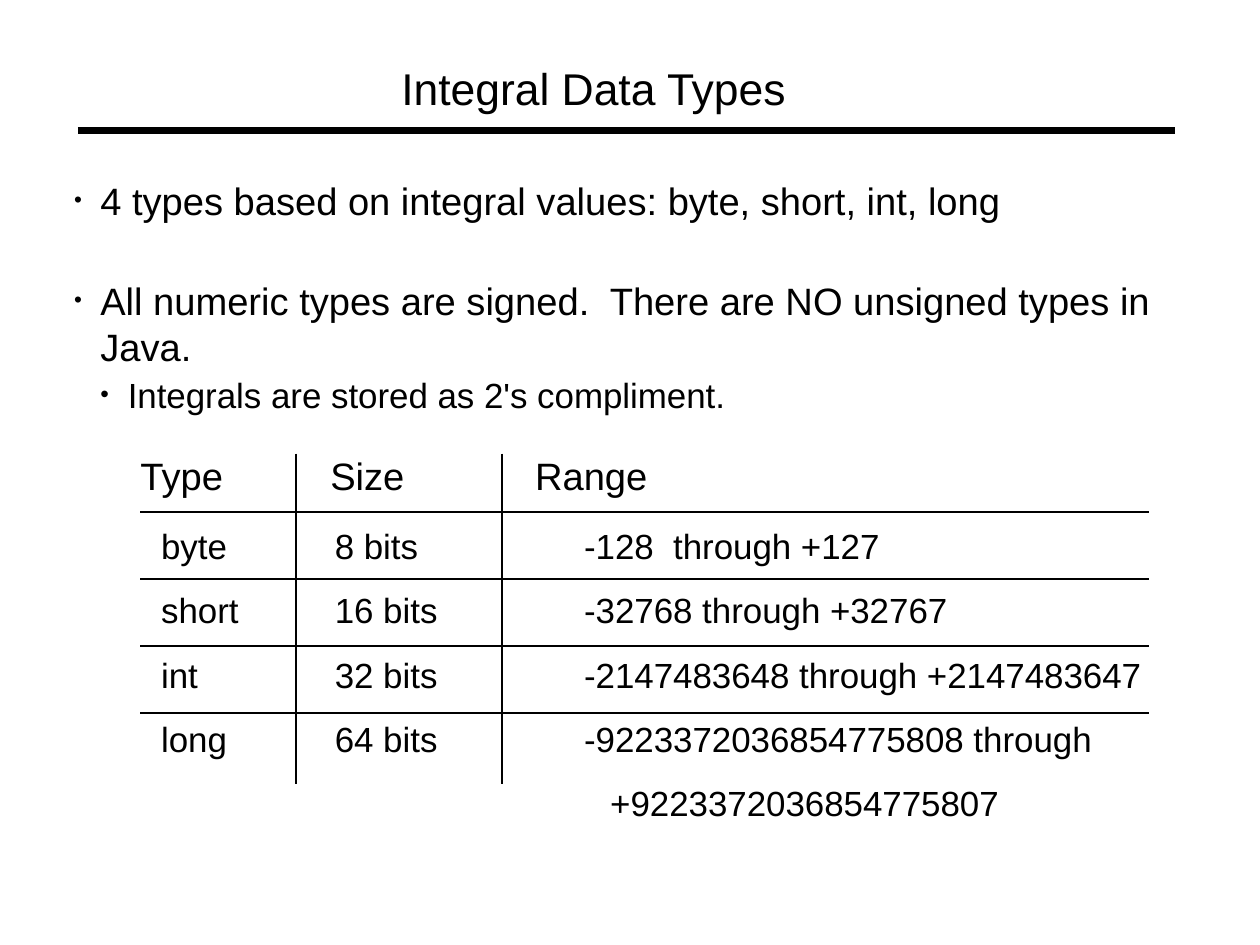
"""Build a slide about the integral data types with a ruled table."""
from dataclasses import dataclass
from itertools import accumulate

from lxml import etree
from pptx import Presentation
from pptx.dml.color import RGBColor
from pptx.enum.shapes import MSO_CONNECTOR
from pptx.enum.text import MSO_ANCHOR
from pptx.oxml.ns import qn
from pptx.util import Cm, Pt

STRAIGHT = MSO_CONNECTOR.STRAIGHT
TOP = MSO_ANCHOR.TOP
BLACK = "000000"
FONT = "Arial"
NO_GRID_STYLE = "{2D5ABB26-0587-4C30-8999-92F81FD0307C}"
HEADER_SIZE, BODY_SIZE = 24, 22
THIN, THICK = 1.45, 4.31
TABLE_LEFT, TABLE_TOP = 3.12, 10.08
ROW_HEIGHTS = [1.3, 1.49, 1.49, 1.49, 1.57, 1.2]


@dataclass(frozen=True)
class Bullet:
    text: str
    size: float
    indent: float
    hanging: float
    space_before: float
    bullet_percent: int


@dataclass(frozen=True)
class Column:
    header: str
    values: tuple[str, ...]
    width: float
    header_inset: float
    value_inset: float


BULLETS = [
    Bullet("4 types based on integral values: byte, short, int, long", 24, 0.58, 0.58, 2.8, 59),
    Bullet("All numeric types are signed.  There are NO unsigned types in Java.", 24, 0.58, 0.58, 34.2, 59),
    Bullet("Integrals are stored as 2's compliment.", 22, 1.19, 0.61, 2.8, 70),
]
COLUMNS = [
    Column("Type", ("byte", "short", "int", "long"), 3.46, 0, 0.46),
    Column("Size", ("8 bits", "16 bits", "32 bits", "64 bits"), 4.57, 0.76, 0.86),
    Column("Range", ("-128  through +127", "-32768 through +32767",
                     "-2147483648 through +2147483647",
                     "-9223372036854775808 through\n+9223372036854775807"), 14.38, 0.74, 1.83),
]


def color(value: str) -> RGBColor:
    """Turn a hex string into a colour."""
    return RGBColor.from_string(value)


def write(para, text: str, *, size: float, before: float = 0, indent: float = 0,
          hanging: float = 0, spacing: float = 1.0) -> None:
    """Fill a paragraph with formatted text."""
    para.line_spacing = spacing
    para.space_before = Pt(before)
    properties = para._p.get_or_add_pPr()
    properties.set("marL", str(Cm(indent)))
    properties.set("indent", str(-Cm(hanging)))
    span = para.add_run()
    span.text = text
    span.font.name = FONT
    span.font.size = Pt(size)
    span.font.color.rgb = color(BLACK)


def add_bullet_mark(para, percent: int) -> None:
    """Give a paragraph a small round bullet."""
    properties = para._p.get_or_add_pPr()
    etree.SubElement(properties, qn("a:buSzPct"), val=str(percent * 1000))
    etree.SubElement(properties, qn("a:buFont"), typeface=FONT)
    etree.SubElement(properties, qn("a:buChar"), char="•")


def add_box(page, left: float, top: float, width: float, height: float):
    """Add a wrapping text box without insets and return its frame."""
    frame = page.shapes.add_textbox(Cm(left), Cm(top), Cm(width), Cm(height)).text_frame
    frame.word_wrap = True
    frame.margin_left = frame.margin_right = frame.margin_top = frame.margin_bottom = 0
    return frame


def add_rule(page, start: tuple[float, float], end: tuple[float, float], width: float) -> None:
    """Draw a straight black rule."""
    rule = page.shapes.add_connector(STRAIGHT, Cm(start[0]), Cm(start[1]), Cm(end[0]), Cm(end[1]))
    rule.line.color.rgb = color(BLACK)
    rule.line.width = Pt(width)
    etree.SubElement(rule._element.spPr, qn("a:effectLst"))


def add_title(page) -> None:
    """Add the title and the thick rule under it."""
    write(add_box(page, 8.92, 1.35, 9.68, 1.19).paragraphs[0], "Integral Data Types", size=28)
    add_rule(page, (1.73, 2.9), (26.11, 2.9), THICK)


def add_bullets(page) -> None:
    """Add the bulleted statements."""
    frame = add_box(page, 1.65, 3.94, 24.51, 6.32)
    for index, bullet in enumerate(BULLETS):
        para = frame.add_paragraph() if index else frame.paragraphs[0]
        write(para, bullet.text, size=bullet.size, before=bullet.space_before,
              indent=bullet.indent, hanging=bullet.hanging)
        add_bullet_mark(para, bullet.bullet_percent)


def fill_cell(cell, text: str, *, size: float, left: float, top: float) -> None:
    """Write the lines of a cell, later ones indented."""
    cell.margin_left, cell.margin_top = Cm(left), Cm(top)
    cell.margin_right = cell.margin_bottom = 0
    cell.vertical_anchor = TOP
    for index, line in enumerate(text.split("\n")):
        para = cell.text_frame.add_paragraph() if index else cell.text_frame.paragraphs[0]
        write(para, line, size=size, before=14.1 * index, indent=0.58 * index, spacing=1.05)


def add_types_table(page) -> None:
    """Add the table of types, sizes and ranges."""
    total_width = sum(column.width for column in COLUMNS)
    frame = page.shapes.add_table(len(ROW_HEIGHTS), len(COLUMNS), Cm(TABLE_LEFT), Cm(TABLE_TOP),
                                  Cm(total_width), Cm(sum(ROW_HEIGHTS)))
    table = frame.table
    table.first_row = table.horz_banding = False
    table._tbl.tblPr.find(qn("a:tableStyleId")).text = NO_GRID_STYLE
    for row, height in zip(table.rows, ROW_HEIGHTS):
        row.height = Cm(height)
    last_column, last_row = len(COLUMNS) - 1, len(ROW_HEIGHTS) - 1
    table.cell(last_row - 1, last_column).merge(table.cell(last_row, last_column))
    for column_index, column in enumerate(COLUMNS):
        table.columns[column_index].width = Cm(column.width)
        fill_cell(table.cell(0, column_index), column.header, size=HEADER_SIZE,
                  left=column.header_inset, top=0)
        for row_index, text in enumerate(column.values, start=1):
            fill_cell(table.cell(row_index, column_index), text, size=BODY_SIZE,
                      left=column.value_inset, top=0.37 - 0.06 * row_index)
    for cell in table.iter_cells():
        cell.fill.background()


def add_table_rules(page) -> None:
    """Rule the table between its rows and columns, stopping above the last line."""
    *row_edges, bottom = accumulate(ROW_HEIGHTS[:-1], initial=TABLE_TOP)
    *column_edges, right = accumulate((column.width for column in COLUMNS), initial=TABLE_LEFT)
    for y in row_edges[1:]:
        add_rule(page, (TABLE_LEFT, y), (right, y), THIN)
    for x in column_edges[1:]:
        add_rule(page, (x, TABLE_TOP), (x, bottom), THIN)


def main() -> None:
    """Build and save the deck."""
    deck = Presentation()
    deck.slide_width, deck.slide_height = Cm(28), Cm(21)
    page = deck.slides.add_slide(deck.slide_layouts[6])
    add_title(page)
    add_bullets(page)
    add_types_table(page)
    add_table_rules(page)
    deck.save("out.pptx")


if __name__ == "__main__":
    main()
